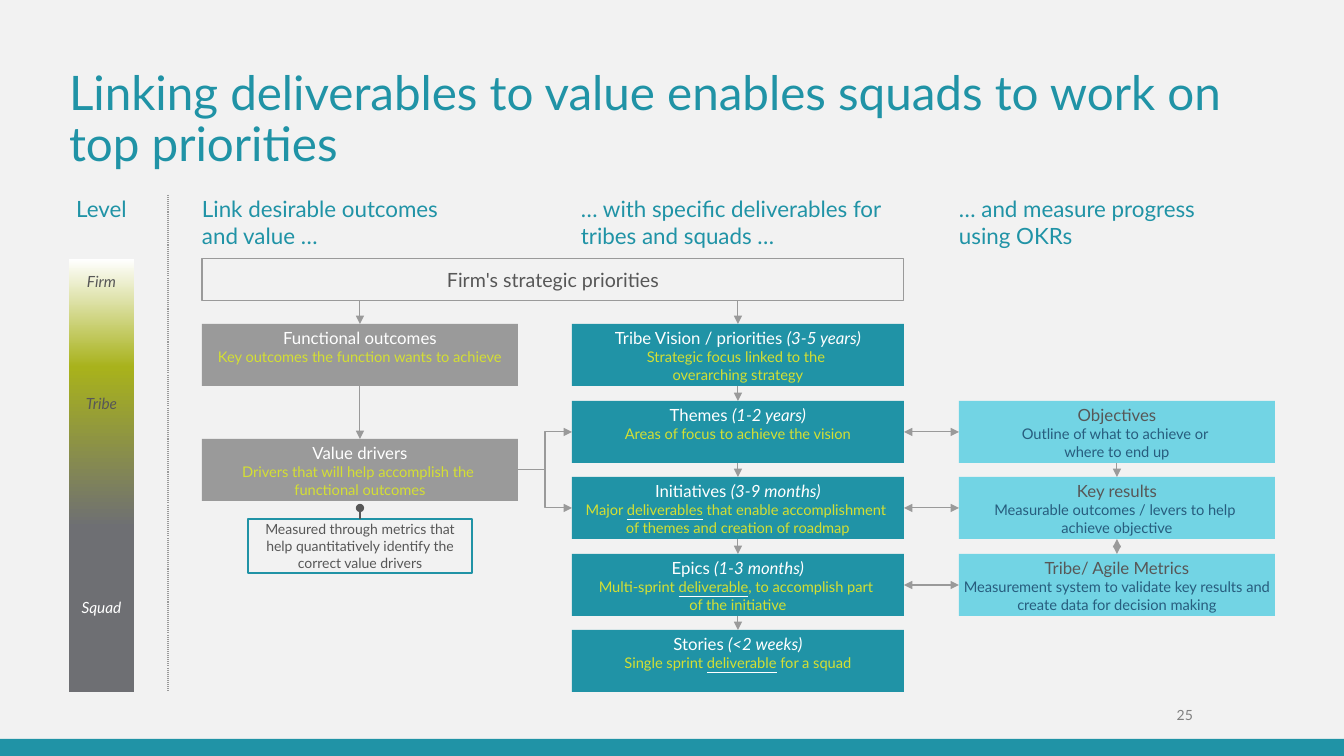
from copy import deepcopy

from lxml import etree
from pptx import Presentation
from pptx import util as u
from pptx.dml.color import RGBColor
from pptx.enum import dml, shapes, text
from pptx.oxml import ns

PX = 914400 / 100.8
FONT = "Lato"
COLORS = {
    "paper": "F2F2F2", "teal": "2093A6", "sky": "72D4E4", "grey": "9A9A9A",
    "ink": "575757", "navy": "275D7E", "lime": "D4DF33", "olive": "A8B21C",
    "slate": "6E6F73", "white": "FFFFFF", "folio": "808080",
}
LEFT, RIGHT, CENTER = text.PP_ALIGN.LEFT, text.PP_ALIGN.RIGHT, text.PP_ALIGN.CENTER
TOP, MIDDLE, BOTTOM = (text.MSO_ANCHOR.TOP, text.MSO_ANCHOR.MIDDLE,
                       text.MSO_ANCHOR.BOTTOM)
CARD_HEIGHT = 62
ROWS = [324 + round(76.6 * i) for i in range(5)]


def px(*lengths):
    return [u.Emu(round(length * PX)) for length in lengths]


def rgb(name):
    return RGBColor.from_string(COLORS[name])


def add_child(parent, tag, **attributes):
    return etree.SubElement(parent, ns.qn(tag), attributes)


def add_run(paragraph, words, size, color, italic=False, underline=False):
    run = paragraph.add_run()
    run.text = words
    run.font.size = u.Pt(size)
    run.font.color.rgb = rgb(color)
    run.font.italic = italic
    if underline:
        run.font.underline = True
        line_fill = add_child(run.font._element, "a:uFill")
        add_child(add_child(line_fill, "a:solidFill"), "a:srgbClr", val=COLORS["white"])
    run.font.name = FONT
    return run


def write(frame, lines, align=CENTER, anchor=TOP, insets=(0, 4), wrap=True, mark=None):
    frame.word_wrap = wrap
    frame.auto_size = text.MSO_AUTO_SIZE.NONE
    frame.vertical_anchor = anchor
    frame.margin_left = frame.margin_right = px(insets[0])[0]
    frame.margin_top = frame.margin_bottom = px(insets[1])[0]
    for i, (words, size, color, *style) in enumerate(lines):
        paragraph = frame.add_paragraph() if i else frame.paragraphs[0]
        paragraph.alignment = align
        for j, part in enumerate(words.split("_")):
            styles = style + [mark[i]] if mark and j % 2 else style
            for k, piece in enumerate(part.split("\n")):
                if k:
                    paragraph.add_line_break()
                    line_break = paragraph._p.findall(ns.qn("a:br"))[-1]
                    line_break.append(deepcopy(run.font._element))
                if piece:
                    run = add_run(paragraph, piece, size, color,
                                  "italic" in styles, "underline" in styles)


def add_label(slide, box, line, **layout):
    label = slide.shapes.add_textbox(*px(*box))
    write(label.text_frame, [line], **layout)


def add_box(slide, box, fill=None, outline=None, weight=0.75):
    shape = slide.shapes.add_shape(shapes.MSO_SHAPE.RECTANGLE, *px(*box))
    shape.shadow.inherit = False
    if fill:
        shape.fill.solid()
        shape.fill.fore_color.rgb = rgb(fill)
    else:
        shape.fill.background()
    if outline:
        shape.line.color.rgb = rgb(outline)
        shape.line.width = u.Pt(weight)
    else:
        shape.line.fill.background()
    return shape


def add_link(slide, points=(0, 0, 0, 0), begin=None, end=None, head=None,
             tail="triangle", kind=shapes.MSO_CONNECTOR.STRAIGHT,
             color="grey", weight=0.75):
    link = slide.shapes.add_connector(kind, *px(*points))
    if begin:
        link.begin_connect(*begin)
    if end:
        link.end_connect(*end)
    link.line.color.rgb = rgb(color)
    link.line.width = u.Pt(weight)
    outline = link.line._get_or_add_ln()
    for tag, arrow in (("a:headEnd", head), ("a:tailEnd", tail)):
        if arrow:
            add_child(outline, tag, type=arrow)
    add_child(link._element.spPr, "a:effectLst")
    return link


def add_cards(slide, left, width, tops, cards, fill, heading, body):
    column = []
    for top, (name, detail) in zip(tops, cards):
        card = add_box(slide, (left, top, width, CARD_HEIGHT), fill)
        write(card.text_frame, [(name, 12, heading), (detail, 10.5, body)],
              mark=("italic", "underline"))
        column.append(card)
    return column


def add_title(slide, left, top, width, height):
    title = slide.shapes.title
    title.left, title.top, title.width, title.height = px(left, top, width, height)
    write(title.text_frame,
          [("Linking deliverables to value enables squads to work on top priorities",
            34, "teal")], align=LEFT, insets=(0, 0))
    title.text_frame.paragraphs[0].line_spacing = 0.9


def add_levels(slide, left, top, width, height):
    add_label(slide, (left, top, width, 31), ("Level", 16, "teal"), insets=(0, 0))
    scale = add_box(slide, (left, top + 64, width, height - 64), "white")
    scale.fill.gradient()
    scale.fill.gradient_angle = 270
    stops = scale.fill._fill._gradFill.gsLst
    stops.append(deepcopy(stops[-1]))
    for stop, (position, color) in zip(
            scale.fill.gradient_stops, ((0, "white"), (0.25, "olive"), (0.62, "slate"))):
        stop.position = position
        stop.color.rgb = rgb(color)
    for level, offset, color in (("Firm", 73, "ink"), ("Tribe", 195, "ink"),
                                 ("Squad", 399, "white")):
        add_label(slide, (left, top + offset, width, 27), (level, 11, color, "italic"),
                  anchor=MIDDLE, wrap=False)
    divider = add_link(slide, (left + 99, top, left + 99, top + height), tail=None)
    divider.line.dash_style = dml.MSO_LINE.ROUND_DOT


def add_outcomes(slide, left, width):
    outcomes, drivers = add_cards(slide, left, width, (ROWS[0], 439), (
        ("Functional outcomes", "Key outcomes the function wants to achieve"),
        ("Value drivers", "Drivers that will help accomplish the \nfunctional outcomes"),
    ), "grey", "white", "lime")
    add_link(slide, begin=(outcomes, 2), end=(drivers, 0))
    metrics = add_box(slide, (left + 46, 519, 224, 54), outline="teal", weight=1.5)
    write(metrics.text_frame,
          [("Measured through metrics that help quantitatively identify the correct "
            "value drivers", 10, "ink")], anchor=MIDDLE, insets=(10, 5))
    middle = left + width // 2
    add_link(slide, (middle, 519, middle, 508), begin=(metrics, 0), tail="oval",
             color="ink", weight=1.5)
    return outcomes, drivers


def add_deliverables(slide, left, width):
    cards = add_cards(slide, left, width, ROWS, (
        ("Tribe Vision / priorities _(3-5 years)_",
         "Strategic focus linked to the \noverarching strategy"),
        ("Themes _(1-2 years)_", "Areas of focus to achieve the vision"),
        ("Initiatives _(3-9 months)_",
         "Major _deliverables_ that enable accomplishment \n"
         "of themes and creation of roadmap"),
        ("Epics _(1-3 months)_",
         "Multi-sprint _deliverable_, to accomplish part \nof the initiative"),
        ("Stories _(<2 weeks)_", "Single sprint _deliverable_ for a squad"),
    ), "teal", "white", "lime")
    for upper, lower in zip(cards, cards[1:]):
        add_link(slide, begin=(upper, 2), end=(lower, 0))
    return cards


def add_okrs(slide, left, width):
    cards = add_cards(slide, left, width, ROWS[1:4], (
        ("Objectives", "Outline of what to achieve or \nwhere to end up"),
        ("Key results", "Measurable outcomes / levers to help \nachieve objective"),
        ("Tribe/ Agile Metrics",
         "Measurement system to validate key results and create data for decision making"),
    ), "sky", "ink", "navy")
    for upper, lower, head in zip(cards, cards[1:], (None, "triangle")):
        add_link(slide, begin=(upper, 2), end=(lower, 0), head=head)
    return cards


def add_priorities(slide, left, top, width, height, targets):
    bar = add_box(slide, (left, top, width, height), outline="grey")
    write(bar.text_frame, [("Firm's strategic priorities", 14, "ink")], anchor=MIDDLE)
    for target in targets:
        middle = round((target.left + target.width / 2) / PX)
        add_link(slide, (middle, top + height, middle, ROWS[0]), end=(target, 0))


def add_footer(slide, top):
    add_box(slide, (0, top, 1344, 17), "teal")
    add_label(slide, (1151, top - 33, 42, 17), ("25", 10, "folio"),
              align=RIGHT, anchor=BOTTOM, insets=(0, 0))


def main():
    deck = Presentation()
    deck.slide_width, deck.slide_height = px(1344, 756)
    slide = deck.slides.add_slide(deck.slide_layouts[5])
    slide.background.fill.solid()
    slide.background.fill.fore_color.rgb = rgb("paper")

    add_footer(slide, 739)
    add_title(slide, 69, 69, 1206, 104)
    add_levels(slide, 69, 195, 65, 497)
    for left, heading in ((202, "Link desirable outcomes \nand value …"),
                          (581, "… with specific deliverables for tribes and squads …"),
                          (959, "… and measure progress \nusing OKRs")):
        add_label(slide, (left, 195, 316, 54), (heading, 16, "teal"),
                  align=LEFT, insets=(0, 0))

    outcomes, drivers = add_outcomes(slide, 202, 316)
    deliverables = add_deliverables(slide, 572, 332)
    okrs = add_okrs(slide, 959, 316)
    add_priorities(slide, 202, 259, 702, 42, (outcomes, deliverables[0]))
    for deliverable in deliverables[1:3]:
        add_link(slide, begin=(drivers, 3), end=(deliverable, 1),
                 kind=shapes.MSO_CONNECTOR.ELBOW)
    for deliverable, okr in zip(deliverables[1:4], okrs):
        add_link(slide, begin=(deliverable, 3), end=(okr, 1), head="triangle")
    deck.save("out.pptx")


if __name__ == "__main__":
    main()
